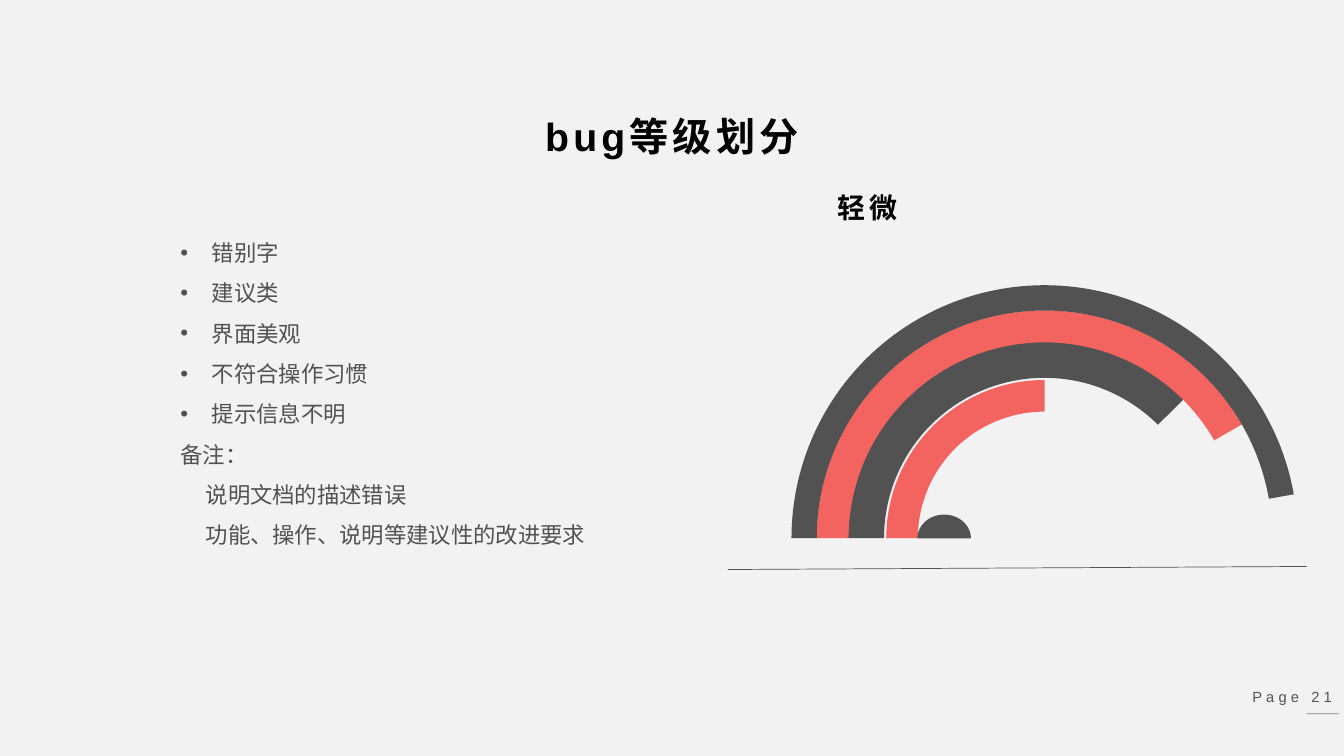
from math import cos, pi, sin

from lxml.etree import SubElement
from pptx import Presentation
from pptx.dml.color import RGBColor
from pptx.enum.shapes import MSO_CONNECTOR, MSO_SHAPE
from pptx.enum.text import MSO_ANCHOR, MSO_AUTO_SIZE, PP_ALIGN
from pptx.oxml.ns import qn
from pptx.util import Inches, Pt

# Content
TITLE = "bug等级划分"
LEVEL = "轻微"
PAGE = "Page 21"
BULLETS = ["错别字", "建议类", "界面美观", "不符合操作习惯", "提示信息不明"]
NOTE_HEADING = "备注："
NOTES = ["说明文档的描述错误", "功能、操作、说明等建议性的改进要求"]

GREY = RGBColor(0x52, 0x52, 0x52)
CORAL = RGBColor(0xF3, 0x64, 0x60)
BLACK = RGBColor(0, 0, 0)
BACKGROUND = RGBColor(0xF2, 0xF2, 0xF2)

# Rings, inner to outer: diameter, end angle, thickness share, colour
RINGS = [
    (3.14, 270, 0.1, CORAL),
    (3.93, 315, 0.095, GREY),
    (4.52, 330, 0.07, CORAL),
    (5.02, 350, 0.05, GREY),
]
WIDTH, HEIGHT = 13.33, 7.5
CENTRE_X, CENTRE_Y = 10.36, 5.34
START_ANGLE = 180
ADJUSTMENT_PER_DEGREE = 0.6  # 60000ths of a degree over 100000


def place(shape, left, top, width, height):
    shape.left, shape.top = Inches(left), Inches(top)
    shape.width, shape.height = Inches(width), Inches(height)


def write(paragraph, text, size=16, color=GREY, bold=False, spacing=0,
          align=PP_ALIGN.LEFT, line_spacing=1.0, bullet=False, margin=0.0):
    paragraph.alignment = align
    paragraph.line_spacing = line_spacing
    paragraph.space_before = Pt(0)
    properties = paragraph._p.get_or_add_pPr()
    properties.set("marL", str(Inches(margin)))
    properties.set("indent", str(Inches(-margin if bullet else 0)))
    if bullet:
        SubElement(properties, qn("a:buFont")).set("typeface", "Arial")
        SubElement(properties, qn("a:buChar")).set("char", "•")
    else:
        SubElement(properties, qn("a:buNone"))
    run = paragraph.add_run()
    run.text = text
    font = run.font
    font.name, font.size, font.bold = "Arial", Pt(size), bold
    font.color.rgb = color
    if spacing:
        run._r.get_or_add_rPr().set("spc", str(spacing * 100))


def prepare(shape, anchor=MSO_ANCHOR.TOP):
    frame = shape.text_frame
    frame.word_wrap = True
    frame.auto_size = MSO_AUTO_SIZE.NONE
    frame.vertical_anchor = anchor
    return frame


def add_label(slide, box, text, anchor=MSO_ANCHOR.TOP, **style):
    label = slide.shapes.add_textbox(*map(Inches, box))
    write(prepare(label, anchor).paragraphs[0], text, spacing=3,
          align=PP_ALIGN.RIGHT, **style)


def add_line(slide, start, end, color, opacity=100):
    line = slide.shapes.add_connector(MSO_CONNECTOR.STRAIGHT,
                                      *map(Inches, start + end))
    line.line.color.rgb = color
    line.line.width = Pt(0.5)
    if opacity < 100:
        rgb = line._element.spPr.find(".//" + qn("a:srgbClr"))
        SubElement(rgb, qn("a:alpha")).set("val", str(opacity * 1000))
    SubElement(line._element.spPr, qn("a:effectLst"))


def paint(shape, color):
    shape.shadow.inherit = False
    shape.fill.solid()
    shape.fill.fore_color.rgb = color
    shape.line.fill.background()


def add_gauge(slide):
    for diameter, end_angle, thickness, color in RINGS:
        ring = slide.shapes.add_shape(MSO_SHAPE.BLOCK_ARC, 0, 0, 0, 0)
        place(ring, CENTRE_X - diameter / 2, CENTRE_Y - diameter / 2,
              diameter, diameter)
        ring.adjustments[0] = START_ANGLE * ADJUSTMENT_PER_DEGREE
        ring.adjustments[1] = end_angle * ADJUSTMENT_PER_DEGREE
        ring.adjustments[2] = thickness
        paint(ring, color)

    # Half-ellipse dome on the gauge's base
    middle, radius_x, radius_y, steps = 9.365, 0.265, 0.235, 36
    points = [(Inches(middle - radius_x * cos(pi * i / steps)),
               Inches(CENTRE_Y - radius_y * sin(pi * i / steps)))
              for i in range(steps + 1)]
    builder = slide.shapes.build_freeform(*points[0])
    builder.add_line_segments(points[1:], close=True)
    paint(builder.convert_to_shape(), GREY)


def main():
    presentation = Presentation()
    presentation.slide_width = Inches(WIDTH)
    presentation.slide_height = Inches(HEIGHT)
    slide = presentation.slides.add_slide(presentation.slide_layouts[1])
    slide.background.fill.solid()
    slide.background.fill.fore_color.rgb = BACKGROUND

    # Title and level
    title = slide.shapes.title
    place(title, 4.86, 1.06, 3.61, 0.57)
    write(prepare(title).paragraphs[0], TITLE, size=28, color=BLACK,
          bold=True, spacing=3, align=PP_ALIGN.CENTER)
    add_label(slide, (5.39, 1.84, 3.61, 0.44), LEVEL, size=20,
              color=BLACK, bold=True)

    # List with closing notes
    body = slide.placeholders[1]
    place(body, 1.69, 2.19, 5.06, 3.28)
    frame = prepare(body)
    lines = [(text, {"bullet": True, "margin": 0.31}) for text in BULLETS]
    lines += [(NOTE_HEADING, {})]
    lines += [(text, {"margin": 0.25}) for text in NOTES]
    for index, (text, style) in enumerate(lines):
        paragraph = frame.add_paragraph() if index else frame.paragraphs[0]
        write(paragraph, text, line_spacing=1.5, **style)

    # Gauge and its ground line
    add_line(slide, (7.22, 5.65), (12.96, 5.62), GREY)
    add_gauge(slide)

    # Page number
    add_line(slide, (12.96, 7.08), (13.28, 7.08), BLACK, opacity=45)
    add_label(slide, (12.21, 6.71, 1.1, 0.4), PAGE,
              anchor=MSO_ANCHOR.MIDDLE, size=10.5)

    presentation.save("out.pptx")


if __name__ == "__main__":
    main()
